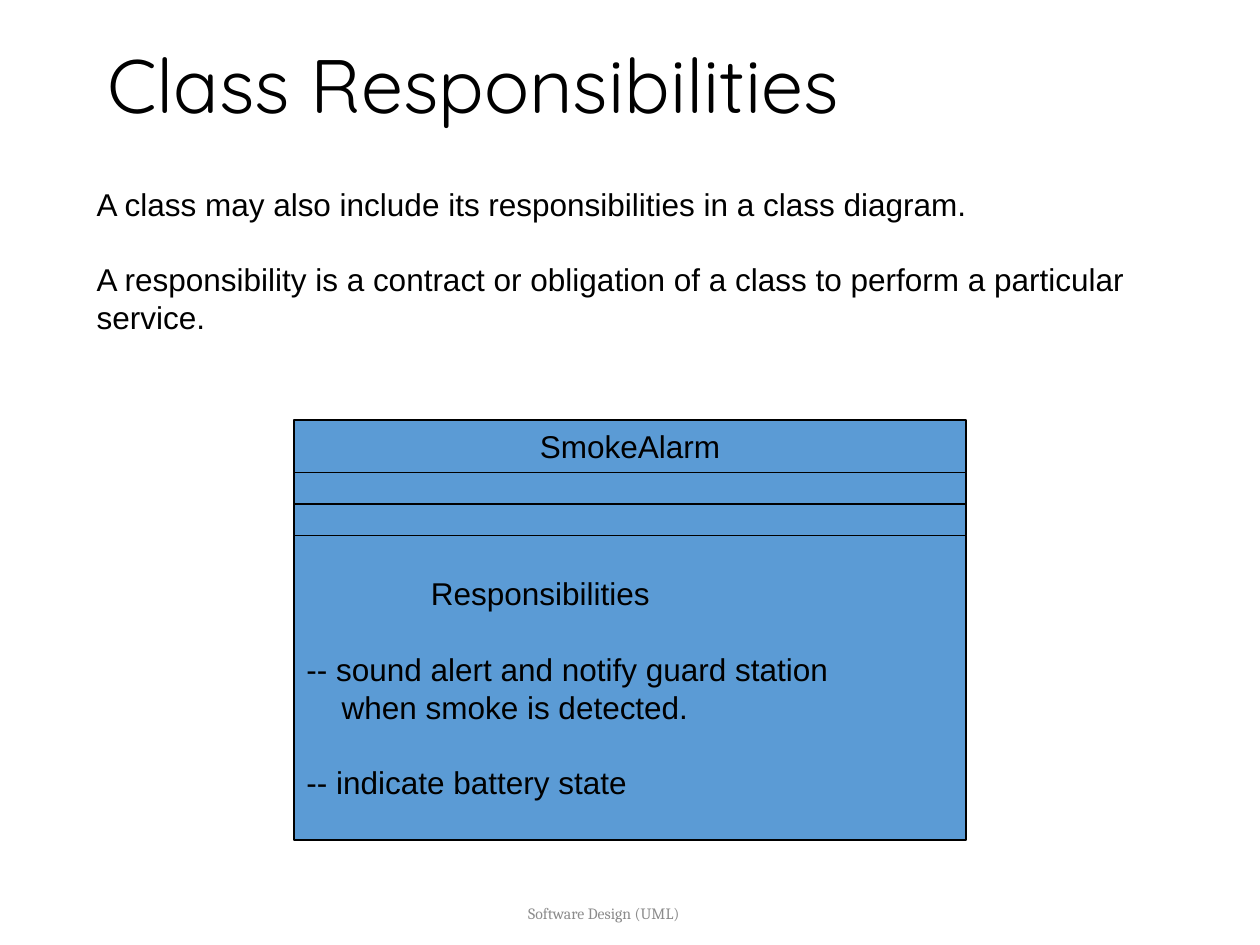
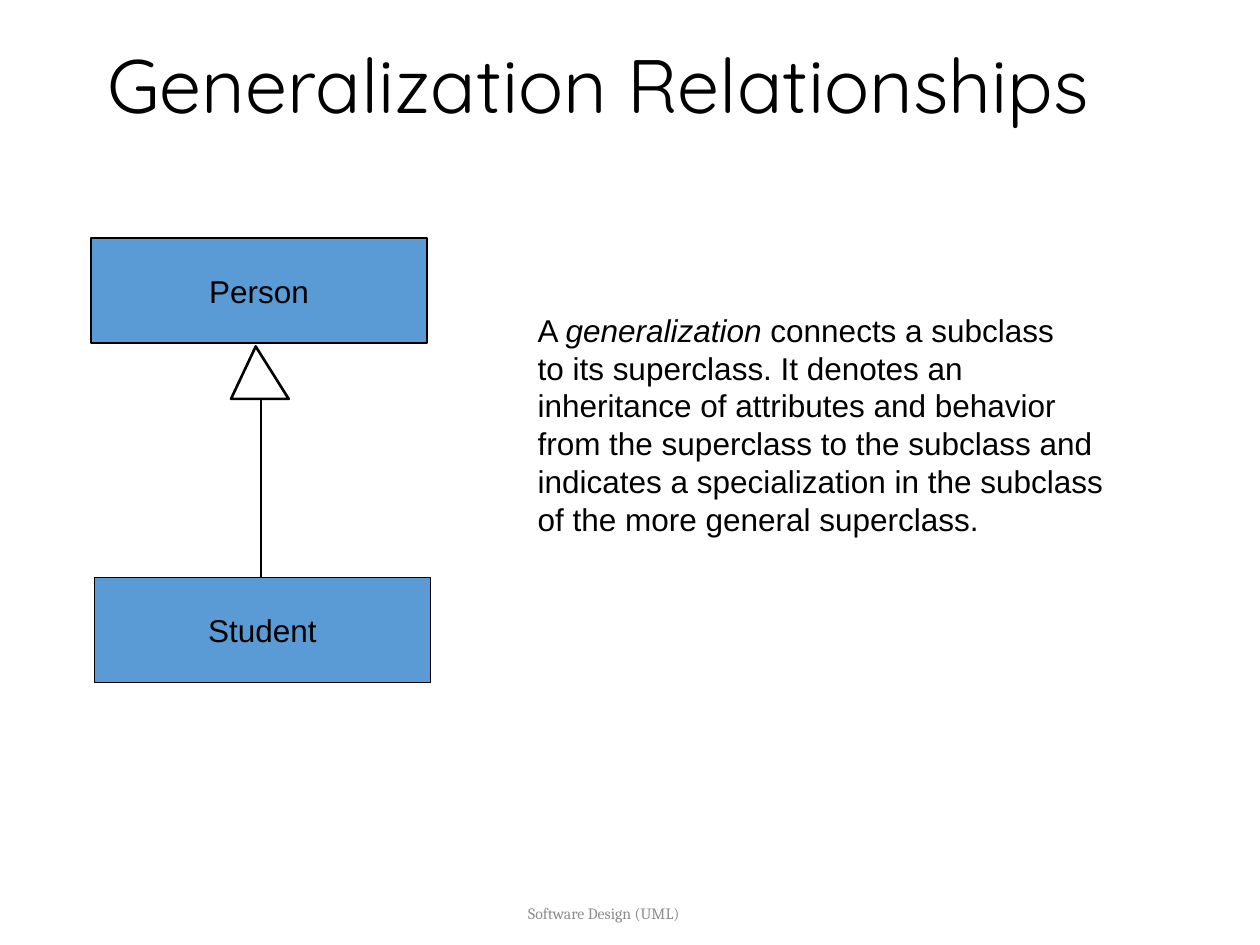
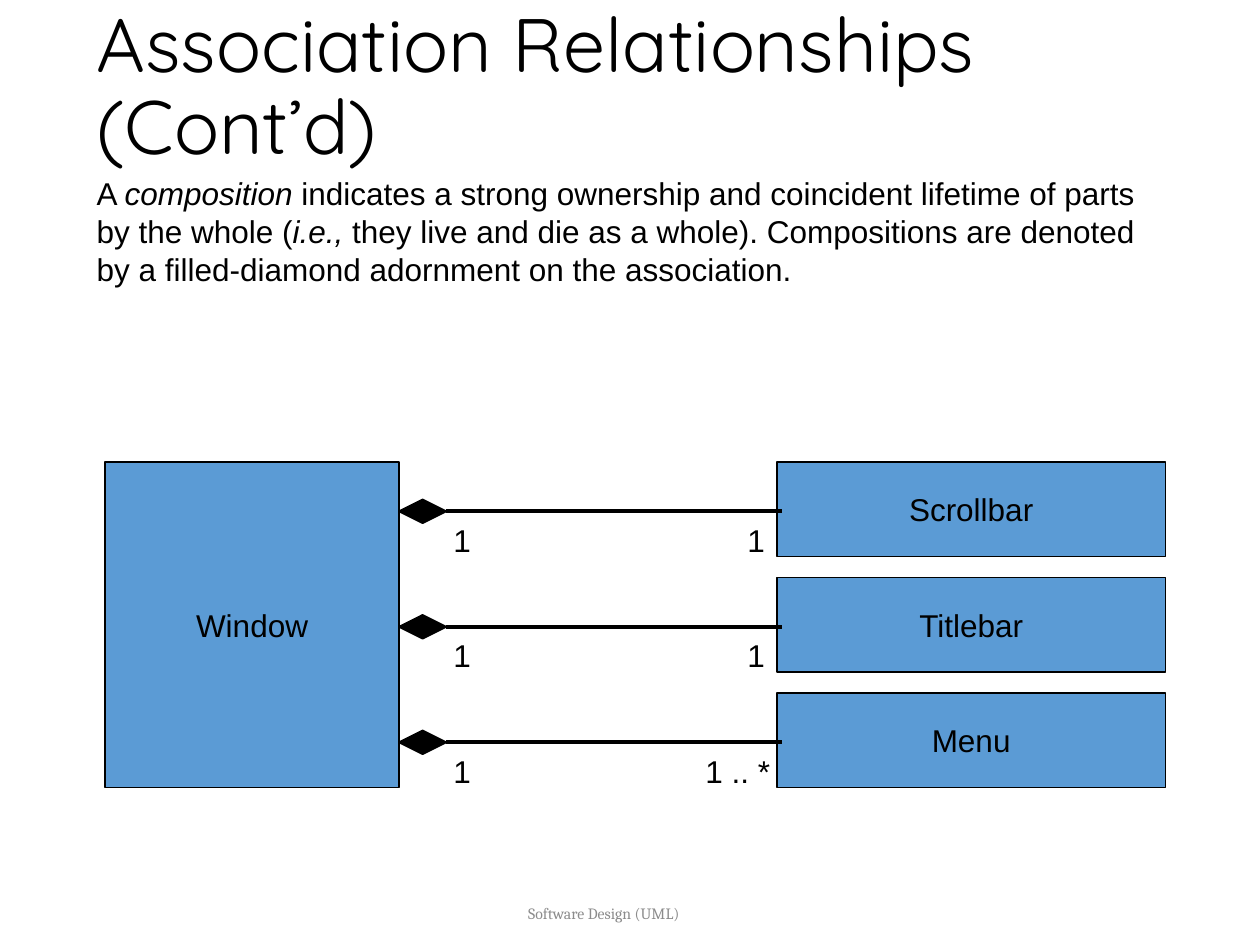
import pptx
import pptx.dml.color
import pptx.enum.shapes
import pptx.enum.text
import pptx.oxml.ns
import pptx.util
from lxml import etree

COLORS = {"text": "000000", "outline": "000000", "class": "5B9BD5",
          "arrow": "FFFFFF", "diamond": "000000", "footer": "8C8C8C"}
ALIGN = pptx.enum.text.PP_ALIGN
ANCHOR = pptx.enum.text.MSO_ANCHOR
RECTANGLE = pptx.enum.shapes.MSO_SHAPE.RECTANGLE
DIAMOND = pptx.enum.shapes.MSO_SHAPE.DIAMOND
STRAIGHT = pptx.enum.shapes.MSO_CONNECTOR.STRAIGHT

deck = pptx.Presentation()
deck.slide_width = pptx.util.Inches(10)
deck.slide_height = pptx.util.Inches(7.5)
UNIT = deck.slide_width // 120  # grid of 120 columns by 90 rows
BLANK_LINE = 21.5

TITLE = {"name": "Quicksand", "size": pptx.util.Pt(43.2)}
PROSE = {"name": "Arial", "size": pptx.util.Pt(18)}
FOOTER = {"name": "Cambria", "size": pptx.util.Pt(9)}


def write(shape, lines, style, color="text", align=ALIGN.LEFT, anchor=ANCHOR.MIDDLE, spacing=1):
    """Fill a shape with (text, indent in columns, points before) lines; _x_ is italic."""
    frame = shape.text_frame
    for name, value in {"word_wrap": True, "vertical_anchor": anchor,
                        "auto_size": pptx.enum.text.MSO_AUTO_SIZE.NONE}.items():
        setattr(frame, name, value)
    for number, (text, indent, gap) in enumerate(lines):
        paragraph = frame.paragraphs[0] if number == 0 else frame.add_paragraph()
        properties = paragraph._p.get_or_add_pPr()
        properties.set("marL", str(round(indent * UNIT)))
        properties.set("indent", "0")
        etree.SubElement(properties, pptx.oxml.ns.qn("a:buNone"))
        for name, value in {"alignment": align, "line_spacing": spacing,
                            "space_before": pptx.util.Pt(gap)}.items():
            setattr(paragraph, name, value)
        for position, part in enumerate(text.split("_")):
            run = paragraph.add_run()
            run.text = part
            for name, value in {**style, "italic": position % 2 == 1}.items():
                setattr(run.font, name, value)
            run.font.color.rgb = pptx.dml.color.RGBColor.from_string(COLORS[color])


def paint(shape, fill="class", width=0.75):
    shape.shadow.inherit = False
    shape.fill.solid()
    shape.fill.fore_color.rgb = pptx.dml.color.RGBColor.from_string(COLORS[fill])
    shape.line.color.rgb = pptx.dml.color.RGBColor.from_string(COLORS["outline"])
    shape.line.width = pptx.util.Pt(width)
    return shape


# Title, explanation and footer of every slide; areas are left, top, width, height
pages = [
    ("Class Responsibilities", (9, 5, 103, 7), (8, 17, 105, 20.4), [
        ("A class may also include its responsibilities in a class diagram.", 0, 0),
        ("A responsibility is a contract or obligation of a class to perform "
         "a particular service.", 0, BLANK_LINE)]),
    ("Generalization Relationships", (9, 5, 103, 7), (50, 29, 66.6, 30), [
        ("A _generalization_ connects a subclass", 0, 0),
        ("to its superclass. It denotes an", 0, 0),
        ("inheritance of attributes and behavior", 0, 0),
        ("from the superclass to the subclass and", 0, 0),
        ("indicates a specialization in the subclass", 0, 0),
        ("of the more general superclass.", 0, 0)]),
    ("Association Relationships (Cont’d)", (8, 5, 106, 7), (8, 16, 103, 20.4), [
        ("A _composition _indicates a strong ownership and coincident lifetime of parts "
         "by the whole (_i.e.,_ they live and die as a whole). Compositions are denoted "
         "by a filled-diamond adornment on the association.", 0, 0)]),
]
canvases = []
for heading, heading_area, explanation_area, explanation in pages:
    slide = deck.slides.add_slide(deck.slide_layouts[1])
    heading_box, explanation_box = slide.placeholders
    footer = slide.shapes.add_textbox(0, 0, 0, 0)
    for box, area in ((heading_box, heading_area), (explanation_box, explanation_area),
                      (footer, (31, 84, 53, 6))):
        for side, length in zip(("left", "top", "width", "height"), area):
            setattr(box, side, round(length * UNIT))
    write(heading_box, [(heading, 0, 0)], TITLE, spacing=0.9)
    write(explanation_box, explanation, PROSE, anchor=ANCHOR.TOP)
    write(footer, [("Software Design (UML)", 0, 0)], FOOTER, "footer", ALIGN.CENTER)
    canvases.append(slide.shapes)
responsibilities, generalization, composition = canvases

# Class boxes: canvas, left, top, width, height, name
classes = [
    (responsibilities, 28, 40, 64, 5, "SmokeAlarm"),
    (responsibilities, 28, 45, 64, 3, ""),
    (responsibilities, 28, 48, 64, 3, ""),
    (generalization, 8.67, 22.67, 32, 10, "Person"),
    (generalization, 9, 55, 32, 10, "Student"),
    (composition, 10, 44, 28, 31, "Window"),
]
parts = [("Scrollbar", "1", 70, 4), ("Titlebar", "1", 70, 4), ("Menu", "1 .. *", 66, 10)]
PART_PITCH = 11
classes += [(composition, 74, 44 + PART_PITCH * row, 37, 9, part[0])
            for row, part in enumerate(parts)]
for canvas, left, top, width, height, name in classes:
    class_box = paint(canvas.add_shape(
        RECTANGLE, *(round(n * UNIT) for n in (left, top, width, height))))
    if name:
        write(class_box, [(name, 0, 0)], PROSE, align=ALIGN.CENTER)

# Slide 1: duties of the class
duties = paint(responsibilities.add_shape(RECTANGLE, 28 * UNIT, 51 * UNIT, 64 * UNIT, 29 * UNIT))
write(duties, [
    ("Responsibilities", 11.85, 0),
    ("-- sound alert and notify guard station", 0, BLANK_LINE),
    ("when smoke is detected.", 3.35, 0),
    ("-- indicate battery state", 0, BLANK_LINE)], PROSE)

# Slide 3: multiplicities and diamonds; association lines are canvas, start, end, width
lines = [(generalization, 24.87, 38, 24.87, 55, 1.5)]
for row, (name, multiplicity, label_left, label_width) in enumerate(parts):
    axis = 48.7 + PART_PITCH * row
    lines.append((composition, 42.5, axis, 74.5, axis, 2.25))
    paint(composition.add_shape(DIAMOND, *(
        round(n * UNIT) for n in (38, axis - 1.13, 4.5, 2.26))), "diamond", 1)
    for text, left, width in (("1", 42, 4), (multiplicity, label_left, label_width)):
        label = composition.add_textbox(
            left * UNIT, (49 + PART_PITCH * row) * UNIT, width * UNIT, round(4.8 * UNIT))
        write(label, [(text, 0, 0)], PROSE, anchor=ANCHOR.TOP)

for canvas, *ends, width in lines:
    line = canvas.add_connector(STRAIGHT, *(round(n * UNIT) for n in ends))
    line.line.color.rgb = pptx.dml.color.RGBColor.from_string(COLORS["outline"])
    line.line.width = pptx.util.Pt(width)
    etree.SubElement(line._element.spPr, pptx.oxml.ns.qn("a:effectLst"))

# Slide 2: hollow arrowhead pointing to the superclass
apex, *base = [(round(x * UNIT), y * UNIT) for x, y in ((24.36, 33), (22, 38), (27.5, 38))]
arrowhead = generalization.build_freeform(*apex)
arrowhead.add_line_segments(base, close=True)
paint(arrowhead.convert_to_shape(), "arrow", 1.5)

deck.save("out.pptx")
